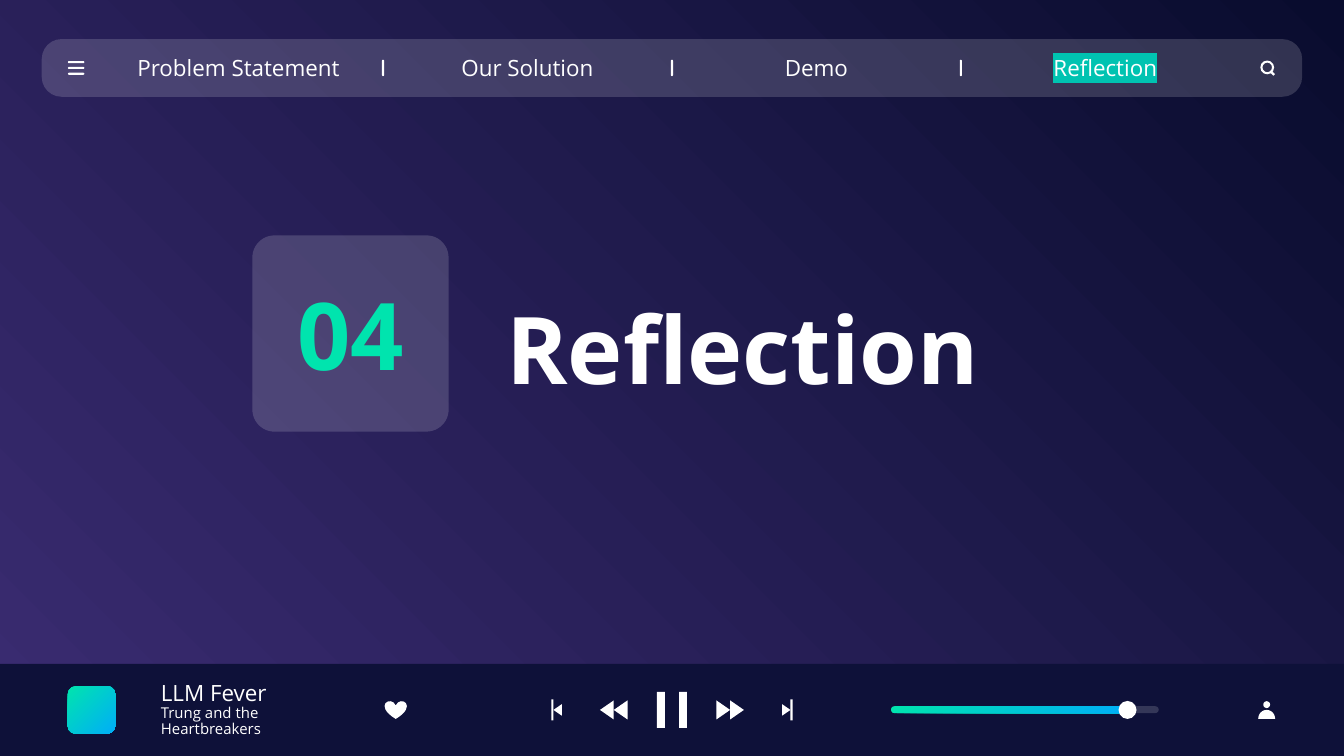
from math import cos, pi, sin

from lxml.etree import SubElement
from pptx import Presentation
from pptx.dml.color import RGBColor
from pptx.enum.shapes import MSO_CONNECTOR, MSO_SHAPE
from pptx.enum.text import MSO_ANCHOR, MSO_AUTO_SIZE, PP_ALIGN
from pptx.oxml import parse_xml
from pptx.oxml.ns import nsdecls, qn
from pptx.util import Cm, Pt

COLORS = {
    "white": "FFFFFF",
    "green": "00E4AE",
    "blue": "00AEF8",
    "highlight": "00C3B1",
    "bar": "0E1139",
    "purple": "3B2C72",
    "night": "090C2E",
}
FONT = "Open Sans"
GLASS = 16  # opacity of the translucent panels, in percent
TABS = ["Problem Statement", "Our Solution", "Demo", "Reflection"]


def rgb(name):
    return RGBColor.from_string(COLORS[name])


def blend(fill, start, end, angle):
    fill.gradient()
    fill.gradient_angle = angle
    for stop, name in zip(fill.gradient_stops, (start, end)):
        stop.color.rgb = rgb(name)


def paint(shape, color="white", opacity=100):
    """Fill a shape with a plain colour, or with the accent gradient."""
    shape.shadow.inherit = False
    shape.line.fill.background()
    if color == "accent":
        blend(shape.fill, "green", "blue", 315)
        return
    shape.fill.solid()
    shape.fill.fore_color.rgb = rgb(color)
    if opacity < 100:
        srgb = shape.fill._xPr.find(qn("a:solidFill"))[0]
        SubElement(srgb, qn("a:alpha")).set("val", str(opacity * 1000))


def block(slide, kind, left, top, width, height, round_by=None, **look):
    shape = slide.shapes.add_shape(kind, Cm(left), Cm(top), Cm(width), Cm(height))
    if round_by is not None:
        shape.adjustments[0] = round_by
    paint(shape, **look)


def centered(slide, kind, x, y, width, height, **look):
    block(slide, kind, x - width / 2, y - height / 2, width, height, **look)


def polygon(slide, points):
    start, *rest = [(Cm(x), Cm(y)) for x, y in points]
    builder = slide.shapes.build_freeform(*start)
    builder.add_line_segments(rest, close=True)
    paint(builder.convert_to_shape())


def write(slide, text, left, top, width, height, placeholder=None, sizes=(12,),
          color="white", bold=False, align=PP_ALIGN.LEFT, spacing=1.0, highlight=None):
    """Write text into a placeholder or a new text box, one size a line."""
    box = placeholder
    if box is None:
        box = slide.shapes.add_textbox(0, 0, 0, 0)
    else:
        slide.shapes._spTree.append(box._element)  # bring to front
    box.left, box.top, box.width, box.height = Cm(left), Cm(top), Cm(width), Cm(height)
    frame = box.text_frame
    frame.text = text
    frame.word_wrap = True
    frame.auto_size = MSO_AUTO_SIZE.NONE
    frame.vertical_anchor = MSO_ANCHOR.MIDDLE
    frame.margin_left = frame.margin_right = Cm(0.25)
    frame.margin_top = frame.margin_bottom = Cm(0.25)
    for paragraph, size in zip(frame.paragraphs, sizes):
        paragraph.alignment = align
        paragraph.line_spacing = spacing
        paragraph.space_before = paragraph.space_after = Pt(0)
        font = paragraph.runs[0].font
        font.size, font.bold, font.name = Pt(size), bold, FONT
        font.color.rgb = rgb(color)
        if highlight:
            font._rPr.find(qn("a:solidFill")).addnext(parse_xml(
                f'<a:highlight {nsdecls("a")}>'
                f'<a:srgbClr val="{COLORS[highlight]}"/></a:highlight>'))


def navigation(slide, left, top, width, height, current):
    block(slide, MSO_SHAPE.ROUNDED_RECTANGLE, left, top, width, height,
          round_by=0.344, opacity=GLASS)
    center, middle = left + width / 2, top + height / 2
    step, tab_width, tab_height = 5.46, 5.08, 0.89

    # Menu icon
    for row in (-1, 0, 1):
        centered(slide, MSO_SHAPE.ROUNDED_RECTANGLE, left + 0.65, middle + row * 0.11,
                 0.31, 0.04, round_by=0.5)

    # Separators and tabs
    for i in range(len(TABS) - 1):
        centered(slide, MSO_SHAPE.ROUNDED_RECTANGLE, center + (i - 1) * step, middle,
                 0.04, 0.31, round_by=0.5)
    for i, tab in enumerate(TABS):
        write(slide, tab, center + (i - 1.5) * step - tab_width / 2,
              middle - tab_height / 2, tab_width, tab_height, align=PP_ALIGN.CENTER,
              highlight="highlight" if tab == current else None)

    # Search icon
    lens = left + width - 0.66
    centered(slide, MSO_SHAPE.DONUT, lens, middle - 0.01, 0.26, 0.26, round_by=0.15)
    handle = slide.shapes.add_connector(
        MSO_CONNECTOR.STRAIGHT, Cm(lens + 0.07), Cm(middle + 0.07),
        Cm(lens + 0.13), Cm(middle + 0.13))
    handle.line.color.rgb = rgb("white")
    handle.line.width = Pt(1.2)
    SubElement(handle._element.spPr, qn("a:effectLst"))


def section_heading(slide, left, top, width, height, number, title):
    tile = 3.71
    block(slide, MSO_SHAPE.ROUNDED_RECTANGLE, left, top, tile, tile,
          round_by=0.113, opacity=GLASS)
    write(slide, number, left, top, tile, tile, sizes=(50,), color="green",
          bold=True, align=PP_ALIGN.CENTER)
    title_left = 4.55
    write(slide, title, left + title_left, top, width - title_left, height,
          placeholder=slide.shapes.title, sizes=(50,), bold=True)


def player(slide, left, top, width, height, song, artist):
    block(slide, MSO_SHAPE.RECTANGLE, left, top, width, height, color="bar")
    center, middle = left + width / 2, top + height / 2

    # Cover, song and heart
    centered(slide, MSO_SHAPE.ROUNDED_RECTANGLE, left + 1.73, middle, 0.9, 0.9,
             round_by=0.167, color="accent")
    write(slide, f"{song}\n{artist}", left + 2.79, middle - 0.45, 3.84, 0.9,
          placeholder=slide.placeholders[1], sizes=(12, 8), spacing=0.9)
    centered(slide, MSO_SHAPE.HEART, left + 7.48, middle, 0.42, 0.34)

    # Controls, mirrored about the centre
    for side in (-1, 1):
        centered(slide, MSO_SHAPE.RECTANGLE, center + side * 0.21, middle, 0.15, 0.68)
        for offset, length, half in ((0.84, 0.26, 0.18), (1.1, 0.26, 0.18),
                                     (2.08, 0.16, 0.11)):
            base, tip = center + side * offset, center + side * (offset + length)
            polygon(slide, [(base, middle - half), (tip, middle), (base, middle + half)])
        centered(slide, MSO_SHAPE.RECTANGLE, center + side * 2.26, middle, 0.04, 0.4)

    # Progress slider
    track, played = left + 16.84, 4.47
    for length, look in ((5.06, {"opacity": GLASS}), (played, {"color": "accent"})):
        block(slide, MSO_SHAPE.ROUNDED_RECTANGLE, track, middle - 0.07, length, 0.13,
              round_by=0.5, **look)
    centered(slide, MSO_SHAPE.OVAL, track + played, middle, 0.34, 0.34)

    # User icon
    user = left + width - 1.46
    centered(slide, MSO_SHAPE.OVAL, user, middle - 0.1, 0.13, 0.13)
    polygon(slide, [(user - 0.16 * cos(pi * i / 16), middle + 0.17 - 0.17 * sin(pi * i / 16))
                    for i in range(17)])


def main():
    deck = Presentation()
    deck.slide_width, deck.slide_height = Cm(25.4), Cm(14.29)
    slide = deck.slides.add_slide(deck.slide_layouts[0])
    blend(slide.background.fill, "purple", "night", 45)

    player(slide, 0, 12.55, 25.4, 1.74, "LLM Fever", "Trung and the Heartbreakers")
    navigation(slide, 0.79, 0.74, 23.82, 1.09, current="Reflection")
    section_heading(slide, 4.77, 4.45, 15.88, 4.24, "04", "Reflection")
    deck.save("out.pptx")


if __name__ == "__main__":
    main()
